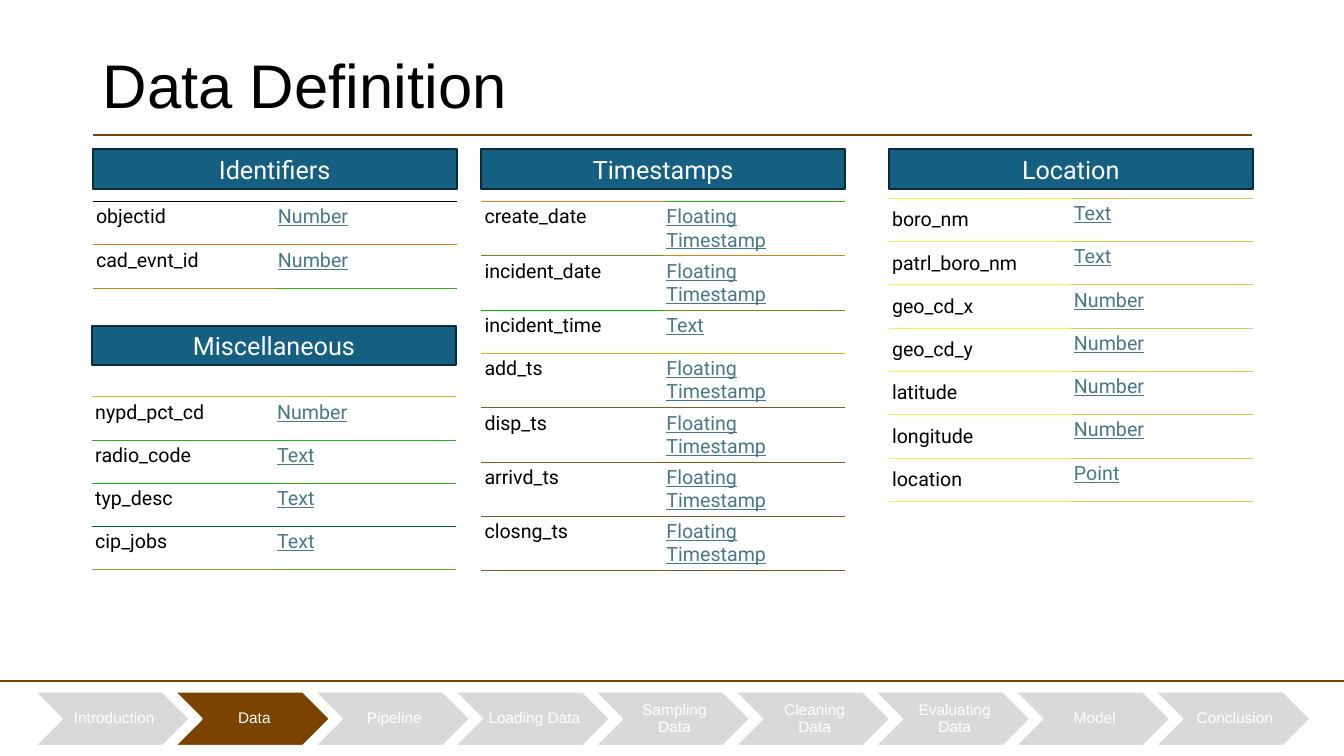
from lxml.etree import SubElement
from pptx import Presentation
from pptx.dml.color import RGBColor
from pptx.enum.shapes import MSO_CONNECTOR, MSO_SHAPE
from pptx.enum.text import MSO_ANCHOR, MSO_AUTO_SIZE, PP_ALIGN
from pptx.oxml.ns import qn
from pptx.util import Cm, Pt

BROWN, GREY, WHITE, BLACK = "7A4300", "D9D9D9", "FFFFFF", "000000"
HEADER_FILL, HEADER_LINE, LINK = "156082", "092A39", "467886"
PANEL_WIDTH, HEADER_HEIGHT, ROW_HEIGHT = 9.17, 1.0, 1.09

STAGES = ["Introduction", "Data", "Pipeline", "Loading Data", "Sampling Data",
          "Cleaning Data", "Evaluating Data", "Model", "Conclusion"]

# Each rule is the colour of one horizontal line: left cell, right cell.
PANELS = [
    dict(title="Identifiers", left=2.34, top=3.76, table_top=5.08,
         rows=[("objectid", "Number"), ("cad_evnt_id", "Number")],
         rules=[(BLACK, BLACK), ("E08114", "E08114"), ("E08114", "30B414")]),
    dict(title="Miscellaneous", left=2.32, top=8.21, table_top=10.0,
         rows=[("nypd_pct_cd", "Number"), ("radio_code", "Text"),
               ("typ_desc", "Text"), ("cip_jobs", "Text")],
         rules=[("D0B914", "D0B914"), ("30AF14", "20B514"), ("00B214", "30AF14"),
                ("00631E", "00631E"), ("70B019", "60B119")]),
    dict(title="Timestamps", left=12.13, top=3.76, table_top=5.08,
         rows=[("create_date", "Floating Timestamp"),
               ("incident_date", "Floating Timestamp"),
               ("incident_time", "Text"),
               ("add_ts", "Floating Timestamp"),
               ("disp_ts", "Floating Timestamp"),
               ("arrivd_ts", "Floating Timestamp"),
               ("closng_ts", "Floating Timestamp")],
         rules=[("E08114", "30B414"), ("609314", "E08114"), ("00B214", "609314"),
                ("D0B914", "D0B914")] + [("805B1E", "805B1E")] * 4),
    dict(title="Location", left=22.4, top=3.76, table_top=5.0,
         name_anchor=MSO_ANCHOR.MIDDLE,
         rows=[("boro_nm", "Text"), ("patrl_boro_nm", "Text"),
               ("geo_cd_x", "Number"), ("geo_cd_y", "Number"),
               ("latitude", "Number"), ("longitude", "Number"),
               ("location", "Point")],
         rules=[("F0F742", "D0D142")] * 8),
]


def color(hex_text):
    return RGBColor.from_string(hex_text)


def set_values(target, values):
    for name, value in values.items():
        setattr(target, name, value)


def write(frame, text, font, ink, paragraph_format=None):
    """Put one paragraph in a text frame with the given font values."""
    para = frame.paragraphs[0]
    set_values(para, paragraph_format or {})
    span = para.add_run()
    span.text = text
    set_values(span.font, font)
    span.font.color.rgb = color(ink)


def add_rule(page, left, top, width):
    rule = page.shapes.add_connector(
        MSO_CONNECTOR.STRAIGHT, Cm(left), Cm(top), Cm(left + width), Cm(top))
    rule.line.color.rgb = color(BROWN)
    rule.line.width = Pt(1.5)
    SubElement(rule._element.spPr, qn("a:effectLst"))


def add_block(page, kind, box, fill, line):
    block = page.shapes.add_shape(kind, *map(Cm, box))
    block.shadow.inherit = False
    block.fill.solid()
    block.fill.fore_color.rgb = color(fill)
    block.line.color.rgb = color(line)
    block.line.width = Pt(1.5)
    set_values(block.text_frame, dict(word_wrap=True, vertical_anchor=MSO_ANCHOR.MIDDLE))
    return block


def add_title(page, left, top, width, height):
    title = page.shapes.title
    set_values(title, dict(left=Cm(left), top=Cm(top), width=Cm(width), height=Cm(height)))
    set_values(title.text_frame, dict(word_wrap=True, auto_size=MSO_AUTO_SIZE.NONE,
                                      vertical_anchor=MSO_ANCHOR.MIDDLE))
    write(title.text_frame, "Data Definition", dict(name="Arial", size=Pt(44)), BLACK,
          dict(alignment=PP_ALIGN.LEFT, line_spacing=0.9))
    add_rule(page, left, top + height - 0.02, width)


def set_borders(cell, top, bottom):
    """Draw the top and bottom edges of a cell and clear its sides."""
    properties = cell._tc.get_or_add_tcPr()
    for side, ink in (("L", None), ("R", None), ("T", top), ("B", bottom)):
        edge = SubElement(properties, qn(f"a:ln{side}"), w=str(Pt(0.75)))
        if ink:
            fill = SubElement(edge, qn("a:solidFill"))
            SubElement(fill, qn("a:srgbClr"), val=ink)
        else:
            SubElement(edge, qn("a:noFill"))


def add_field_table(page, left, top, rows, rules, name_anchor):
    table = page.shapes.add_table(len(rows), 2, Cm(left), Cm(top), Cm(PANEL_WIDTH),
                                  Cm(ROW_HEIGHT * len(rows))).table
    set_values(table, dict(first_row=False, horz_banding=False))
    for row_index, row in enumerate(rows):
        table.rows[row_index].height = Cm(ROW_HEIGHT)
        for column, text in enumerate(row):
            is_type = column == 1
            cell = table.cell(row_index, column)
            set_borders(cell, rules[row_index][column], rules[row_index + 1][column])
            cell.fill.background()
            set_values(cell, dict(
                margin_left=Cm(0.08), margin_right=Cm(0.23 if is_type else 0.51),
                margin_top=Cm(0.1), margin_bottom=Cm(0.1),
                vertical_anchor=MSO_ANCHOR.TOP if is_type else name_anchor))
            write(cell.text_frame, text,
                  dict(name="Roboto", size=Pt(14), underline=is_type),
                  LINK if is_type else BLACK)


def add_panel(page, title, left, top, table_top, rows, rules, name_anchor=MSO_ANCHOR.TOP):
    header = add_block(page, MSO_SHAPE.RECTANGLE, (left, top, PANEL_WIDTH, HEADER_HEIGHT),
                       HEADER_FILL, HEADER_LINE)
    write(header.text_frame, title, dict(name="Roboto", size=Pt(18)), WHITE,
          dict(alignment=PP_ALIGN.CENTER))
    add_field_table(page, left, table_top, rows, rules, name_anchor)


def add_progress_bar(page, left, top, current, step=3.53, width=3.92, height=1.37):
    add_rule(page, 0, top - 0.26, 33.87)
    for index, stage in enumerate(STAGES):
        chevron = add_block(page, MSO_SHAPE.CHEVRON,
                            (left + index * step, top, width, height),
                            BROWN if stage == current else GREY, WHITE)
        set_values(chevron.text_frame, dict(margin_left=Cm(0.1), margin_right=Cm(0),
                                            margin_top=Cm(0.05), margin_bottom=Cm(0.05)))
        write(chevron.text_frame, stage, dict(name="Arial", size=Pt(11)), WHITE,
              dict(alignment=PP_ALIGN.CENTER, line_spacing=0.9))


def main():
    deck = Presentation()
    set_values(deck, dict(slide_width=Cm(33.87), slide_height=Cm(19.05)))
    page = deck.slides.add_slide(deck.slide_layouts[5])
    add_title(page, 2.34, 1.02, 29.21, 2.41)
    for panel in PANELS:
        add_panel(page, **panel)
    add_progress_bar(page, 0.87, 17.43, current="Data")
    deck.save("out.pptx")


if __name__ == "__main__":
    main()
